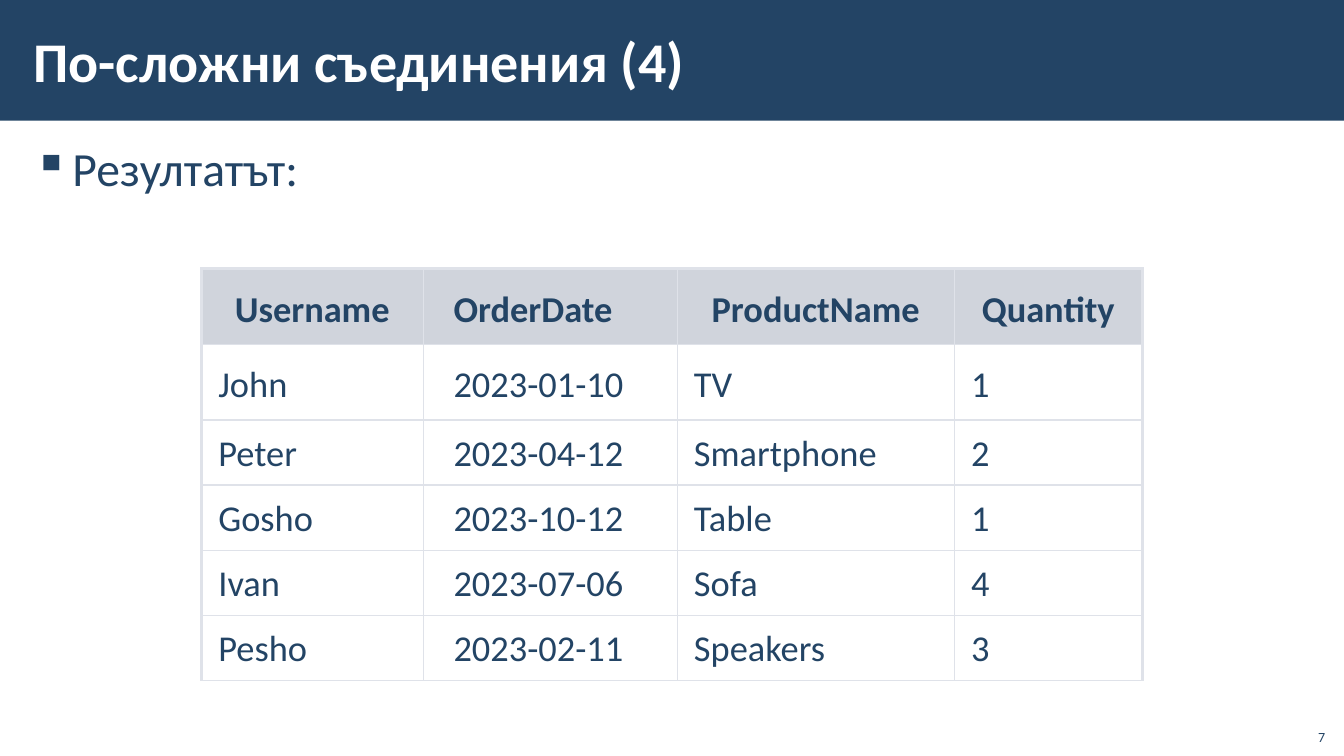
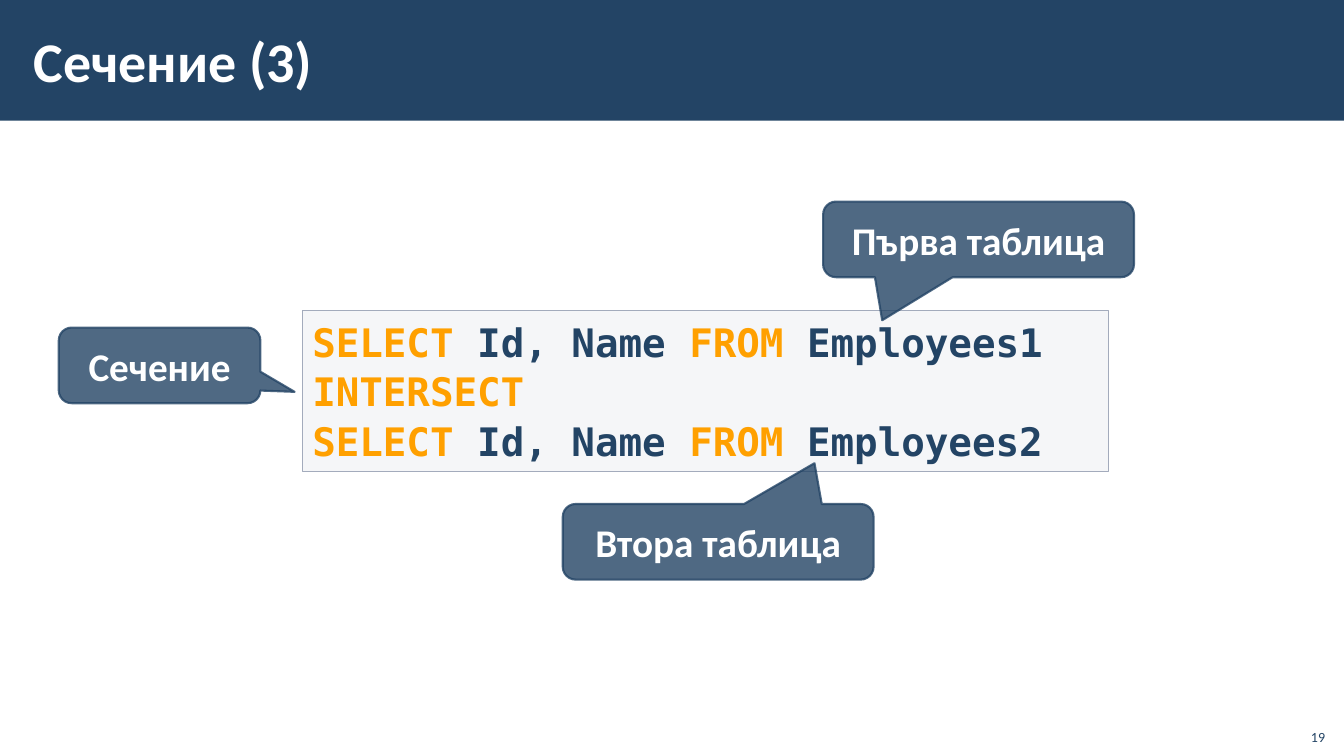
"""Build two slides on SQL joins and set intersection."""
from lxml.etree import SubElement as Sub
from pptx import Presentation
from pptx.dml.color import RGBColor
from pptx.enum.shapes import MSO_SHAPE as Shape
from pptx.enum.text import MSO_ANCHOR as Anchor, PP_ALIGN as Align
from pptx.oxml.ns import qn
from pptx.util import Pt

PX = 9525
WIDE, HIGH = 1280, 720
NAVY = RGBColor(0x23, 0x44, 0x65)
WHITE = RGBColor(0xFF, 0xFF, 0xFF)
AMBER = RGBColor(0xFF, 0xA0, 0x00)
HEAD = RGBColor(0xD0, 0xD4, 0xDC)
RULE = RGBColor(0xDF, 0xE2, 0xE9)
PALE = RGBColor(0xC2, 0xC7, 0xD2)
EDGE = RGBColor(0xA3, 0xAB, 0xBC)
SANS, MONO = "Calibri", "DejaVu Sans Mono"
KEYS = {"SELECT", "FROM", "INTERSECT"}


def scale(*nums):
    return [n * PX for n in nums]


def style(para, size, color=None, bold=False, face=SANS, align=Align.LEFT):
    para.alignment = align
    font = para.font
    font.name, font.size, font.bold = face, Pt(size), bold
    if color is not None:
        font.color.rgb = color


def inset(item, left, top, right, low):
    sides = scale(left, top, right, low)
    item.margin_left, item.margin_top, item.margin_right, item.margin_bottom = sides


def fade(fill, part):
    color = fill.find(qn("a:solidFill")).find(qn("a:srgbClr"))
    Sub(color, qn("a:alpha"), val=str(part * 1000))


def border(cell, widths):
    props = cell._tc.get_or_add_tcPr()
    for spot, (side, width) in enumerate(zip("LRTB", widths)):
        line = Sub(props, qn(f"a:ln{side}"), w=str(Pt(width)))
        fill = Sub(line, qn("a:solidFill"))
        Sub(fill, qn("a:srgbClr"), val=str(RULE))
        props.insert(spot, line)


class Deck:
    """Hold the shared style and the current slide."""

    def __init__(self):
        self.show = Presentation()
        self.show.slide_width, self.show.slide_height = scale(WIDE, HIGH)
        self.slide = None

    def page(self, title, num):
        self.slide = self.show.slides.add_slide(self.show.slide_layouts[6])
        self.shape(Shape.RECTANGLE, (0, 0, WIDE, 115), NAVY)
        self.text((1234, 684, 38, 31), str(num), 10, NAVY, anchor=Anchor.BOTTOM,
                  align=Align.RIGHT, pad=(10, 5, 10, 5))
        self.text((20, 11, 1020, 93), title, 40, WHITE, bold=True,
                  anchor=Anchor.MIDDLE)

    def shape(self, kind, box, fill, edge=None, width=1):
        item = self.slide.shapes.add_shape(kind, *scale(*box))
        item.shadow.inherit = False
        item.fill.solid()
        item.fill.fore_color.rgb = fill
        if edge is None:
            item.line.fill.background()
        else:
            item.line.color.rgb = edge
            item.line.width = Pt(width)
        return item

    def text(self, box, words, size, color, bold=False, anchor=Anchor.TOP,
             align=Align.LEFT, pad=(12, 4, 12, 4)):
        frame = self.slide.shapes.add_textbox(*scale(*box)).text_frame
        frame.word_wrap = True
        frame.vertical_anchor = anchor
        inset(frame, *pad)
        para = frame.paragraphs[0]
        para.text = words
        style(para, size, color, bold, align=align)
        return para

    def bullet(self, box, words):
        para = self.text(box, words, 34, NAVY)
        props = para._p.get_or_add_pPr()
        props.set("marL", str(37 * PX))
        props.set("indent", str(-37 * PX))
        mark = Sub(props, qn("a:buChar"), char="▪")
        props.insert(0, mark)
        para.line_spacing = 1.05
        para.space_after = Pt(6)

    def table(self, left, top, cols, rows, data):
        box = scale(left, top, sum(cols), sum(rows))
        grid = self.slide.shapes.add_table(len(rows), len(cols), *box).table
        grid.first_row = grid.horz_banding = False
        for col, width in zip(grid.columns, cols):
            col.width = width * PX
        for row, height in zip(grid.rows, rows):
            row.height = height * PX
        last = len(cols) - 1
        for r, line in enumerate(data):
            for c, words in enumerate(line):
                self.cell(grid.cell(r, c), words, r == 0, c, 6 if r < 2 else 3)
                border(grid.cell(r, c), (2.25 if c == 0 else 1,
                                         2.25 if c == last else 1,
                                         2.25 if r == 0 else 1, 1))

    def cell(self, cell, words, top, col, pad):
        mid = top and col != 1
        inset(cell, 0 if mid else 29 if col == 1 else 16, pad, 0, 0)
        cell.vertical_anchor = Anchor.MIDDLE
        if top:
            cell.fill.solid()
            cell.fill.fore_color.rgb = HEAD
        else:
            cell.fill.background()
        para = cell.text_frame.paragraphs[0]
        para.text = words
        style(para, 26, NAVY, top, align=Align.CENTER if mid else Align.LEFT)

    def code(self, box, lines):
        item = self.shape(Shape.RECTANGLE, box, PALE, EDGE)
        fade(item.element.spPr, 15)
        frame = item.text_frame
        frame.word_wrap = True
        frame.vertical_anchor = Anchor.TOP
        for i, parts in enumerate(lines):
            para = frame.add_paragraph() if i else frame.paragraphs[0]
            para.line_spacing = 1.05
            style(para, 28, bold=True, face=MONO)
            for part in parts:
                run = para.add_run()
                run.text = part
                run.font.color.rgb = AMBER if part in KEYS else NAVY

    def callout(self, box, words, tip):
        item = self.shape(Shape.ROUNDED_RECTANGULAR_CALLOUT, box, NAVY, NAVY, 1.5)
        for i, part in enumerate((*tip, 0.17)):
            item.adjustments[i] = part
        props = item.element.spPr
        fade(props, 80)
        fade(props.find(qn("a:ln")), 80)
        frame = item.text_frame
        frame.word_wrap = True
        frame.vertical_anchor = Anchor.MIDDLE
        para = frame.paragraphs[0]
        para.text = words
        style(para, 28, WHITE, True, align=Align.CENTER)


def main():
    deck = Deck()
    deck.page("По-сложни съединения (4)", 7)
    deck.bullet((20, 126, 1240, 581), "Резултатът:")
    deck.table(192, 256, (211, 242, 264, 179), (72, 72, 62, 62, 62, 62), (
        ("Username", "OrderDate", "ProductName", "Quantity"),
        ("John", "2023-01-10", "TV", "1"),
        ("Peter", "2023-04-12", "Smartphone", "2"),
        ("Gosho", "2023-10-12", "Table", "1"),
        ("Ivan", "2023-07-06", "Sofa", "4"),
        ("Pesho", "2023-02-11", "Speakers", "3")))

    deck.page("Сечение (3)", 19)
    deck.code((288, 296, 768, 153), (
        ("SELECT", " Id, Name ", "FROM", " Employees1"),
        ("INTERSECT",),
        ("SELECT", " Id, Name ", "FROM", " Employees2")))
    deck.callout((784, 192, 296, 72), "Първа таблица", (-0.31, 1.07))
    deck.callout((536, 480, 296, 72), "Втора таблица", (0.31, -1.04))
    deck.callout((56, 312, 192, 72), "Сечение", (0.67, 0.35))
    deck.show.save("out.pptx")


if __name__ == "__main__":
    main()
